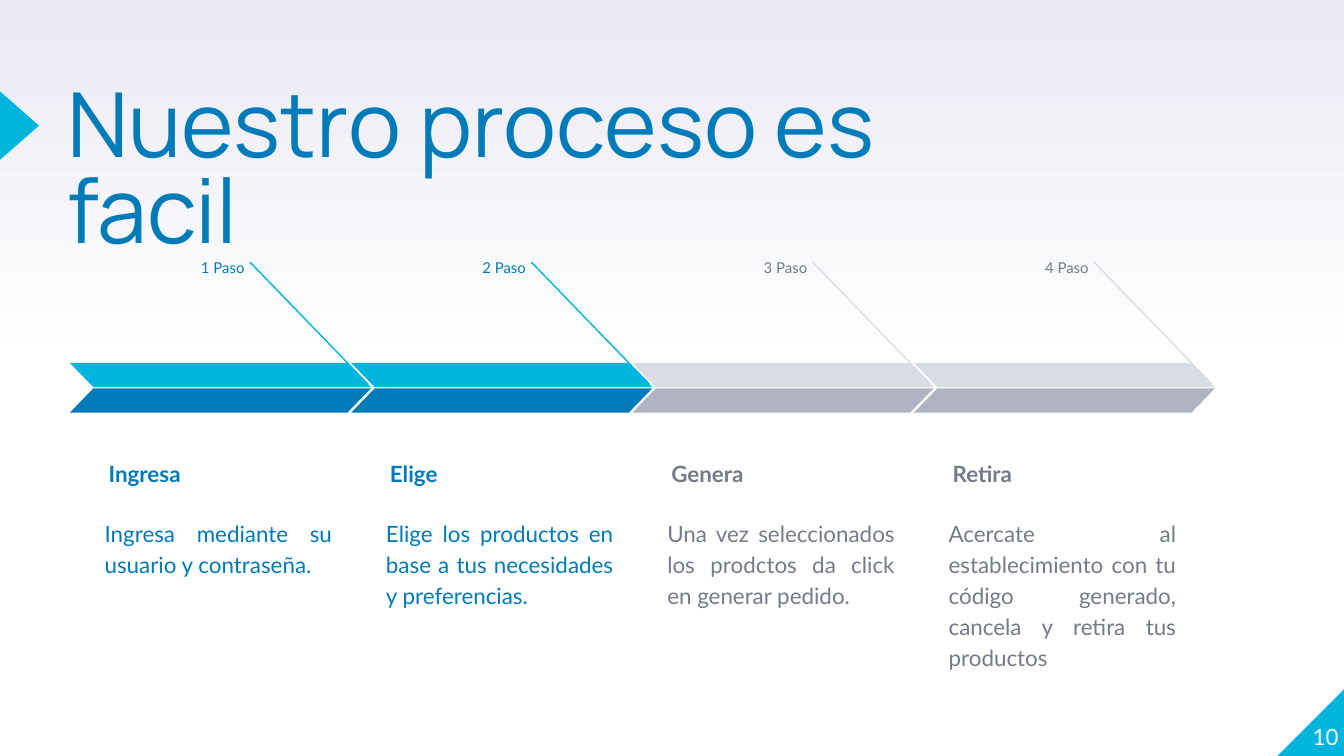
import pptx
import pptx.dml.color
import pptx.enum.shapes
import pptx.enum.text
import pptx.oxml.ns
import pptx.util
from lxml import etree

Inches = pptx.util.Inches
Pt = pptx.util.Pt
RGBColor = pptx.dml.color.RGBColor
Shape = pptx.enum.shapes.MSO_SHAPE
Align = pptx.enum.text.PP_ALIGN
Anchor = pptx.enum.text.MSO_ANCHOR

WHITE = RGBColor(0xFF, 0xFF, 0xFF)
LAVENDER = RGBColor(0xE9, 0xEA, 0xF2)
CYAN = RGBColor(0x00, 0xB5, 0xDD)
BLUE = RGBColor(0x00, 0x7B, 0xB9)
SLATE = RGBColor(0x75, 0x7B, 0x89)
LIGHT_GRAY = RGBColor(0xDA, 0xDC, 0xE5)
MID_GRAY = RGBColor(0xB0, 0xB3, 0xC1)

ACTIVE = (BLUE, CYAN, BLUE)
PENDING = (SLATE, LIGHT_GRAY, MID_GRAY)

STEPS = [
    ("Ingresa", "Ingresa mediante su usuario y contraseña.", ACTIVE),
    ("Elige", "Elige los productos en base a tus necesidades y preferencias.", ACTIVE),
    ("Genera", "Una vez seleccionados los prodctos da click en generar pedido.", PENDING),
    ("Retira", "Acercate al establecimiento con tu código generado, "
               "cancela y retira tus productos", PENDING),
]
FIRST_LEFT = 0.52
LAST_LEFT = 6.8
STEP_PITCH = (LAST_LEFT - FIRST_LEFT) / (len(STEPS) - 1)


def paint_background(slide):
    fill = slide.background.fill
    fill.gradient()
    fill.gradient_angle = 90
    for stop, position, color in zip(fill.gradient_stops, (0.5, 1), (WHITE, LAVENDER)):
        stop.position = position
        stop.color.rgb = color


def add_text(shapes, text, left, top, width, height, size, color, font="Lato",
             bold=False, align=Align.LEFT, anchor=Anchor.TOP, inset=0.1,
             line_spacing=1.15, space_after=0):
    box = shapes.add_textbox(Inches(left), Inches(top), Inches(width), Inches(height))
    frame = box.text_frame
    frame.word_wrap = True
    frame.vertical_anchor = anchor
    frame.margin_left = frame.margin_right = Inches(inset)
    frame.margin_top = frame.margin_bottom = Inches(inset)
    para = frame.paragraphs[0]
    para.text = text
    para.alignment = align
    para.line_spacing = line_spacing
    para.space_after = Pt(space_after)
    para.font.name = font
    para.font.size = Pt(size)
    para.font.bold = bold
    para.font.color.rgb = color


def add_filled_shape(shapes, kind, left, top, width, height, color, flipped=False):
    shape = shapes.add_shape(kind, Inches(left), Inches(top), Inches(width), Inches(height))
    shape.shadow.inherit = False
    shape.fill.solid()
    shape.fill.fore_color.rgb = color
    shape.line.fill.background()
    if flipped:
        shape.element.spPr.find(pptx.oxml.ns.qn("a:xfrm")).set("flipH", "1")
    return shape


def add_line(shapes, start_x, start_y, end_x, end_y, color):
    line = shapes.add_connector(pptx.enum.shapes.MSO_CONNECTOR.STRAIGHT,
                                Inches(start_x), Inches(start_y),
                                Inches(end_x), Inches(end_y))
    line.line.color.rgb = color
    line.line.width = Pt(0.75)
    etree.SubElement(line.element.spPr, pptx.oxml.ns.qn("a:effectLst"))


def add_step(slide, number, heading, description, palette):
    text_color, upper_color, lower_color = palette
    left = FIRST_LEFT + (number - 1) * STEP_PITCH
    shapes = slide.shapes.add_group_shape().shapes
    add_text(shapes, f"{number} Paso", left + 0.64, 1.83, 0.76, 0.29, 8, text_color,
             align=Align.RIGHT, space_after=16)
    add_text(shapes, heading, left + 0.19, 3.17, 1.84, 0.55, 12, text_color,
             bold=True, anchor=Anchor.BOTTOM)
    add_text(shapes, description, left + 0.16, 3.74, 1.89, 0.9, 12, text_color,
             align=Align.JUSTIFY, space_after=16)
    add_line(shapes, left + 1.34, 1.95, left + 2.22, 2.86, upper_color)
    for top, color, flipped in ((2.7, upper_color, True), (2.89, lower_color, False)):
        band = add_filled_shape(shapes, Shape.PARALLELOGRAM, left, top, 2.24, 0.18,
                                color, flipped)
        band.adjustments[0] = 0.97


def main():
    deck = pptx.Presentation()
    deck.slide_width = Inches(10)
    deck.slide_height = Inches(10) * 9 // 16
    slide = deck.slides.add_slide(deck.slide_layouts[6])
    paint_background(slide)
    add_filled_shape(slide.shapes, Shape.RIGHT_TRIANGLE, 9.5, 5.12, 0.51, 0.51, CYAN,
                     flipped=True)
    marker = add_filled_shape(slide.shapes, Shape.ISOSCELES_TRIANGLE,
                              -0.11, 0.79, 0.51, 0.29, CYAN)
    marker.rotation = 90
    add_text(slide.shapes, "Nuestro proceso es facil", 0.5, 0.66, 6.17, 1.18, 48, BLUE,
             font="Manrope", inset=0, line_spacing=0.8)
    add_text(slide.shapes, "10", 9.46, 5.07, 0.5, 0.51, 12, WHITE, align=Align.RIGHT,
             anchor=Anchor.BOTTOM, inset=0, line_spacing=1)
    for number, step in enumerate(STEPS, 1):
        add_step(slide, number, *step)
    deck.save("out.pptx")


if __name__ == "__main__":
    main()
